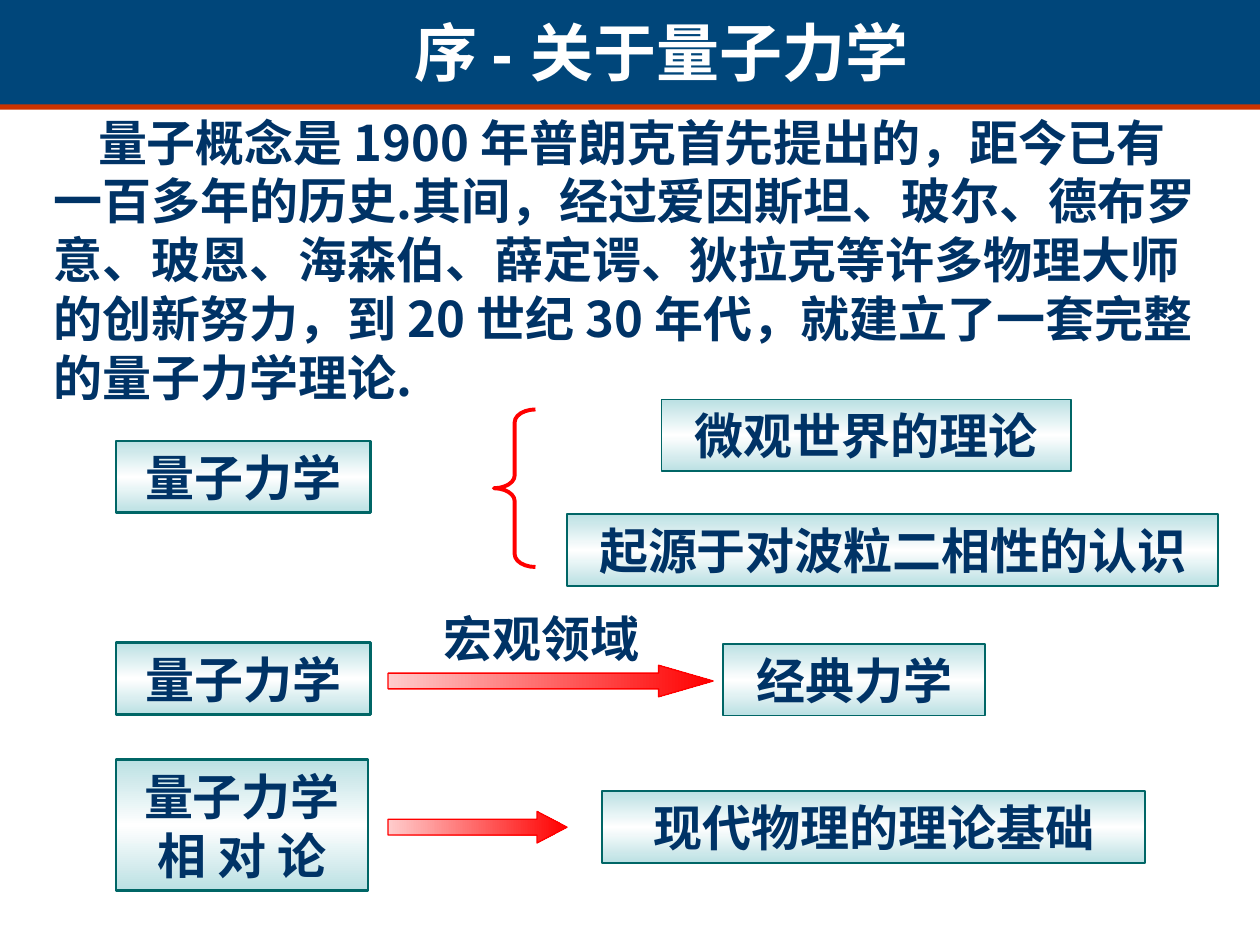
from copy import deepcopy
from dataclasses import dataclass

from lxml.etree import SubElement
from pptx import Presentation
from pptx.dml.color import RGBColor
from pptx.enum.shapes import MSO_SHAPE
from pptx.enum.text import PP_ALIGN
from pptx.oxml.ns import qn
from pptx.shapes.autoshape import Shape
from pptx.slide import Slide
from pptx.util import Inches, Pt

NAVY = RGBColor(0x00, 0x33, 0x66)
BANNER_BLUE = RGBColor(0x00, 0x46, 0x7A)
RULE_RED = RGBColor(0xCC, 0x33, 0x00)
WHITE = RGBColor(0xFF, 0xFF, 0xFF)
PALE_TEAL = RGBColor(0xBB, 0xE0, 0xE3)
TEAL = RGBColor(0x00, 0x66, 0x66)
PINK = RGBColor(0xFF, 0xCC, 0xCC)
RED = RGBColor(0xFF, 0x00, 0x00)

CJK_FONT = "Noto Sans CJK SC"
TOPIC_LEFT = 0.92
BOX_HEIGHT = 0.57
ARROW_LEFT = 3.08
ARROW_HEIGHT = 0.25
TOPIC_LINE = 1.5
CLAIM_LINE = 1

INTRODUCTION = (
    "量子概念是 1900 年普朗克首先提出的，距今已有一百多年的历史.其间，"
    "经过爱因斯坦、玻尔、德布罗意、玻恩、海森伯、薛定谔、狄拉克等许多物理大师的创新努力，"
    "到 20 世纪 30 年代，就建立了一套完整的量子力学理论."
)


@dataclass(frozen=True)
class ConceptBox:
    text: str
    left: float
    top: float
    width: float
    line_width: float = CLAIM_LINE
    height: float = BOX_HEIGHT


@dataclass(frozen=True)
class BlockArrow:
    top: float
    width: float
    head_ratio: float


CONCEPTS = [
    ConceptBox("量子力学", TOPIC_LEFT, 3.5, 2.02, TOPIC_LINE),
    ConceptBox("微观世界的理论", 5.25, 3.17, 3.25),
    ConceptBox("起源于对波粒二相性的认识", 4.5, 4.08, 5.17),
    ConceptBox("量子力学", TOPIC_LEFT, 5.1, 2.02, TOPIC_LINE),
    ConceptBox("经典力学", 5.74, 5.11, 2.08),
    ConceptBox("量子力学相 对 论", TOPIC_LEFT, 6.03, 2, TOPIC_LINE, 1.04),
    ConceptBox("现代物理的理论基础", 4.78, 6.28, 4.31),
]
ARROWS = [BlockArrow(5.28, 2.58, 1.73), BlockArrow(6.44, 1.42, 0.95)]


def add_preset(slide: Slide, preset: MSO_SHAPE, left: float, top: float,
               width: float, height: float) -> Shape:
    shape = slide.shapes.add_shape(
        preset, Inches(left), Inches(top), Inches(width), Inches(height))
    shape.shadow.inherit = False
    return shape


def set_outline(shape: Shape, color: RGBColor, width: float) -> None:
    shape.line.color.rgb = color
    shape.line.width = Pt(width)


def set_gradient(shape: Shape, start: RGBColor, end: RGBColor, angle: float,
                 mirrored: bool = False) -> None:
    """Blend start to end; a mirrored blend returns to start."""
    shape.fill.gradient()
    shape.fill.gradient_angle = angle
    for stop, color in zip(shape.fill.gradient_stops, (start, end)):
        stop.color.rgb = color
    if mirrored:
        stops = shape.element.spPr.find(f".//{qn('a:gsLst')}")
        stops.append(deepcopy(stops[0]))
        stops[1].set("pos", "50000")
        stops[2].set("pos", "100000")


def write(shape: Shape, text: str, size: float = 28, color: RGBColor = NAVY,
          font_name: str = CJK_FONT, align: PP_ALIGN = PP_ALIGN.LEFT,
          first_indent: float = 0) -> None:
    shape.text_frame.word_wrap = True
    paragraph = shape.text_frame.paragraphs[0]
    paragraph.alignment = align
    if first_indent:
        properties = paragraph._p.get_or_add_pPr()
        properties.set("marL", "0")
        properties.set("indent", str(Inches(first_indent)))
    run = paragraph.add_run()
    run.text = text
    run.font.size = Pt(size)
    run.font.bold = True
    run.font.color.rgb = color
    run.font.name = font_name
    SubElement(run.font._element, qn("a:ea")).set("typeface", CJK_FONT)


def add_label(slide: Slide, left: float, top: float, width: float,
              height: float) -> Shape:
    return slide.shapes.add_textbox(
        Inches(left), Inches(top), Inches(width), Inches(height))


def add_band(slide: Slide, top: float, height: float, color: RGBColor) -> None:
    band = add_preset(slide, MSO_SHAPE.RECTANGLE, 0, top, 10, height)
    band.fill.solid()
    band.fill.fore_color.rgb = color
    band.line.fill.background()


def add_concept(slide: Slide, concept: ConceptBox) -> None:
    box = add_preset(slide, MSO_SHAPE.RECTANGLE, concept.left, concept.top,
                     concept.width, concept.height)
    set_gradient(box, PALE_TEAL, WHITE, 270, mirrored=True)
    set_outline(box, TEAL, concept.line_width)
    write(box, concept.text, align=PP_ALIGN.CENTER)


def add_arrow(slide: Slide, arrow: BlockArrow) -> None:
    shape = add_preset(slide, MSO_SHAPE.RIGHT_ARROW, ARROW_LEFT, arrow.top,
                       arrow.width, ARROW_HEIGHT)
    shape.adjustments[1] = arrow.head_ratio
    set_gradient(shape, PINK, RED, 0)
    set_outline(shape, RED, 0.75)


def add_brace(slide: Slide) -> None:
    brace = add_preset(slide, MSO_SHAPE.LEFT_BRACE, 3.92, 3.25, 0.33, 1.25)
    brace.adjustments[0] = 0.31
    brace.fill.background()
    set_outline(brace, RED, 2.25)


def main() -> None:
    presentation = Presentation()
    presentation.slide_width = Inches(10)
    presentation.slide_height = Inches(7.5)
    slide = presentation.slides.add_slide(presentation.slide_layouts[6])

    add_band(slide, 0.79, 0.08, RULE_RED)
    add_band(slide, 0, 0.83, BANNER_BLUE)
    write(add_label(slide, 3.19, 0.06, 4.49, 0.7), "序 - 关于量子力学",
          size=36, color=WHITE, font_name="Arial")
    write(add_label(slide, 0.33, 0.84, 9.33, 2.44), INTRODUCTION,
          first_indent=0.35)

    for concept in CONCEPTS:
        add_concept(slide, concept)
    add_brace(slide)
    for arrow in ARROWS:
        add_arrow(slide, arrow)
    write(add_label(slide, 3.42, 4.78, 2.33, BOX_HEIGHT), "宏观领域")

    presentation.save("out.pptx")


if __name__ == "__main__":
    main()
